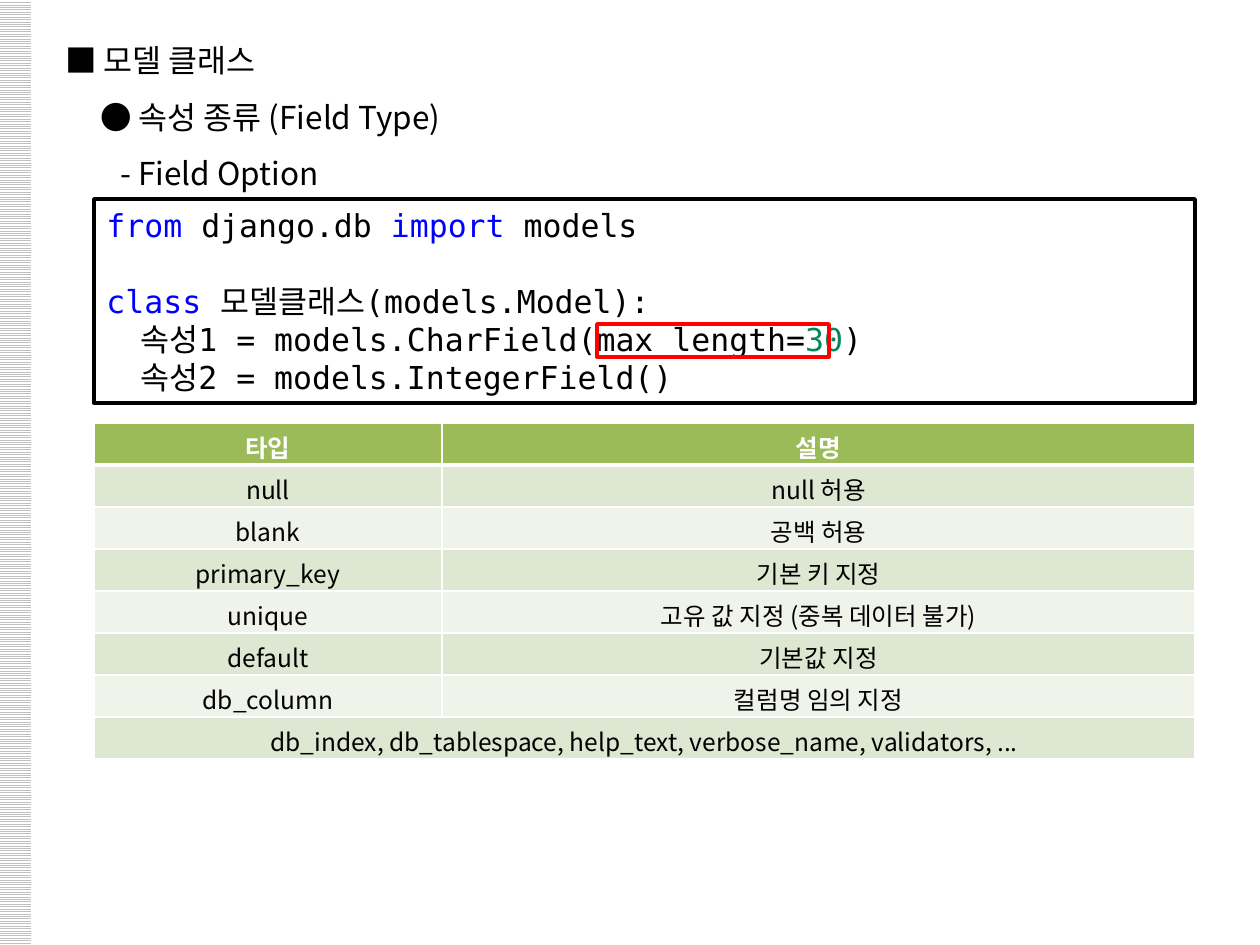
from lxml.etree import SubElement
from pptx import Presentation
from pptx.dml.color import RGBColor
from pptx.enum.dml import MSO_PATTERN
from pptx.enum.shapes import MSO_SHAPE
from pptx.enum.text import MSO_ANCHOR, PP_ALIGN
from pptx.oxml import parse_xml
from pptx.oxml.ns import nsdecls, qn
from pptx.util import Pt

SCALE = 914400 / 126  # EMU in one px
BLACK = RGBColor(0x00, 0x00, 0x00)
WHITE = RGBColor(0xFF, 0xFF, 0xFF)
SILVER = RGBColor(0xC0, 0xC0, 0xC0)
RED = RGBColor(0xFF, 0x00, 0x00)
KEYWORD = RGBColor(0x00, 0x00, 0xFF)
NUMBER = RGBColor(0x09, 0x86, 0x58)
HEADER = RGBColor(0x9B, 0xBB, 0x59)
BAND_DARK = RGBColor(0xDE, 0xE7, 0xD1)
BAND_LIGHT = RGBColor(0xEF, 0xF3, 0xEA)
SANS = "Noto Sans CJK KR"
MONO = "DejaVu Sans Mono"


def px(*lengths):
    return [round(length * SCALE) for length in lengths]


def add_span(para, text, font_name, size, color, bold=False):
    span = para.add_run()
    span.text = text
    span.font.name = font_name
    span.font.size = Pt(size)
    span.font.bold = bold
    span.font.color.rgb = color
    SubElement(span.font._element, qn("a:ea"), typeface=font_name)


deck = Presentation()
deck.slide_width, deck.slide_height = px(1260, 945)
page = deck.slides.add_slide(deck.slide_layouts[6])

# Striped left edge
stripe = page.shapes.add_shape(MSO_SHAPE.RECTANGLE, *px(-1, 0, 32, 945))
stripe.shadow.inherit = False
stripe.fill.patterned()
stripe.fill.pattern = MSO_PATTERN.LIGHT_HORIZONTAL
stripe.fill.fore_color.rgb = SILVER
stripe.fill.back_color.rgb = WHITE
stripe.line.fill.background()

# Headings
headings = [("■ 모델 클래스", 0), ("● 속성 종류 (Field Type)", 35), ("- Field Option", 55)]
frame = page.shapes.add_textbox(*px(53, 16, 428, 178)).text_frame
frame.word_wrap = True
for index, (text, indent) in enumerate(headings):
    para = frame.paragraphs[0] if index == 0 else frame.add_paragraph()
    para.line_spacing = 1.5
    para._p.get_or_add_pPr().set("marL", str(px(indent)[0]))
    add_span(para, text, SANS, 18, BLACK)

# Code box
code_lines = [
    (0, [("from ", KEYWORD), ("django.db ", BLACK), ("import", KEYWORD), (" models", BLACK)]),
    (0, [("class ", KEYWORD), ("모델클래스(models.Model):", BLACK)]),
    (34, [("속성1 = models.CharField(max_length=", BLACK), ("30", NUMBER), (")", BLACK)]),
    (34, [("속성2 = models.IntegerField()", BLACK)]),
]
code_box = page.shapes.add_shape(MSO_SHAPE.RECTANGLE, *px(94, 199, 1101, 204))
code_box.shadow.inherit = False
code_box.fill.solid()
code_box.fill.fore_color.rgb = WHITE
code_box.line.color.rgb = BLACK
code_box.line.width = Pt(2)
frame = code_box.text_frame
frame.word_wrap = True
frame.vertical_anchor = MSO_ANCHOR.MIDDLE
for index, (indent, spans) in enumerate(code_lines):
    para = frame.paragraphs[0] if index == 0 else frame.add_paragraph()
    para.alignment = PP_ALIGN.LEFT
    para.font.size = Pt(18)
    para._p.get_or_add_pPr().set("marL", str(px(indent)[0]))
    if index == 1:
        para.add_line_break()
        SubElement(para._p.find(qn("a:br")), qn("a:rPr"), sz="1800")
    for text, color in spans:
        add_span(para, text, MONO, 18, color)

# Field option table
rows = [
    ("타입", "설명"),
    ("null", "null 허용"),
    ("blank", "공백 허용"),
    ("primary_key", "기본 키 지정"),
    ("unique", "고유 값 지정 (중복 데이터 불가)"),
    ("default", "기본값 지정"),
    ("db_column", "컬럼명 임의 지정"),
    ("db_index, db_tablespace, help_text, verbose_name, validators, ...", ""),
]
table = page.shapes.add_table(len(rows), 2, *px(94, 423, 1101, 336)).table
table.columns[0].width, table.columns[1].width = px(348, 753)
for row_index, texts in enumerate(rows):
    is_header = row_index == 0
    table.rows[row_index].height = px(42)[0]
    for column_index, text in enumerate(texts):
        cell = table.cell(row_index, column_index)
        cell.vertical_anchor = MSO_ANCHOR.MIDDLE
        cell.margin_top, cell.margin_bottom = px(6, 0)
        cell.fill.solid()
        band = BAND_DARK if row_index % 2 else BAND_LIGHT
        cell.fill.fore_color.rgb = HEADER if is_header else band
        for position, side in enumerate("LRTB"):
            thick = (is_header and side == "B") or (row_index == 1 and side == "T")
            border = parse_xml(
                f'<a:ln{side} {nsdecls("a")} w="{Pt(3 if thick else 1)}">'
                f'<a:solidFill><a:srgbClr val="{WHITE}"/></a:solidFill></a:ln{side}>'
            )
            cell._tc.get_or_add_tcPr().insert(position, border)
        para = cell.text_frame.paragraphs[0]
        para.alignment = PP_ALIGN.CENTER
        para.font.size = Pt(14)
        if text:
            add_span(para, text, SANS, 14, WHITE if is_header else BLACK, is_header)
table.cell(len(rows) - 1, 0).merge(table.cell(len(rows) - 1, 1))

# Highlight around the option
highlight = page.shapes.add_shape(MSO_SHAPE.RECTANGLE, *px(597, 324, 232, 33))
highlight.shadow.inherit = False
highlight.fill.background()
highlight.line.color.rgb = RED
highlight.line.width = Pt(2)

deck.save("out.pptx")
